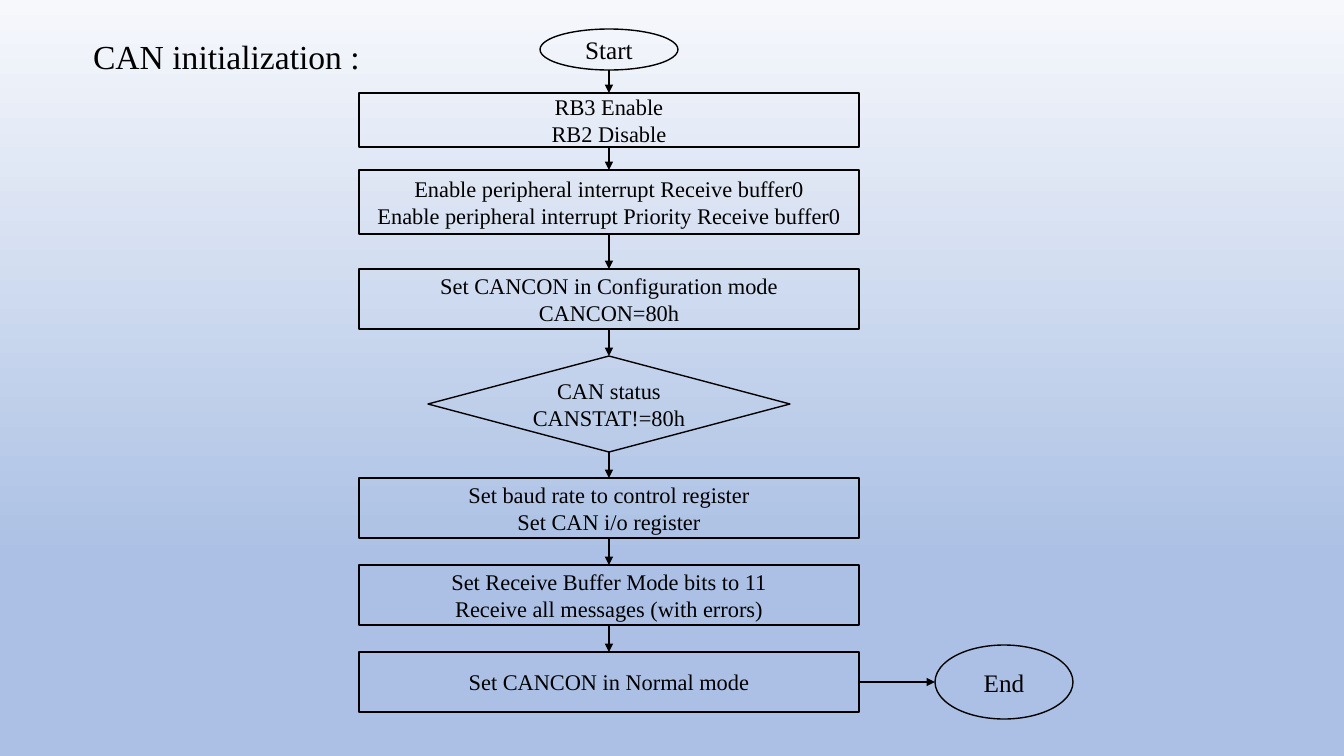
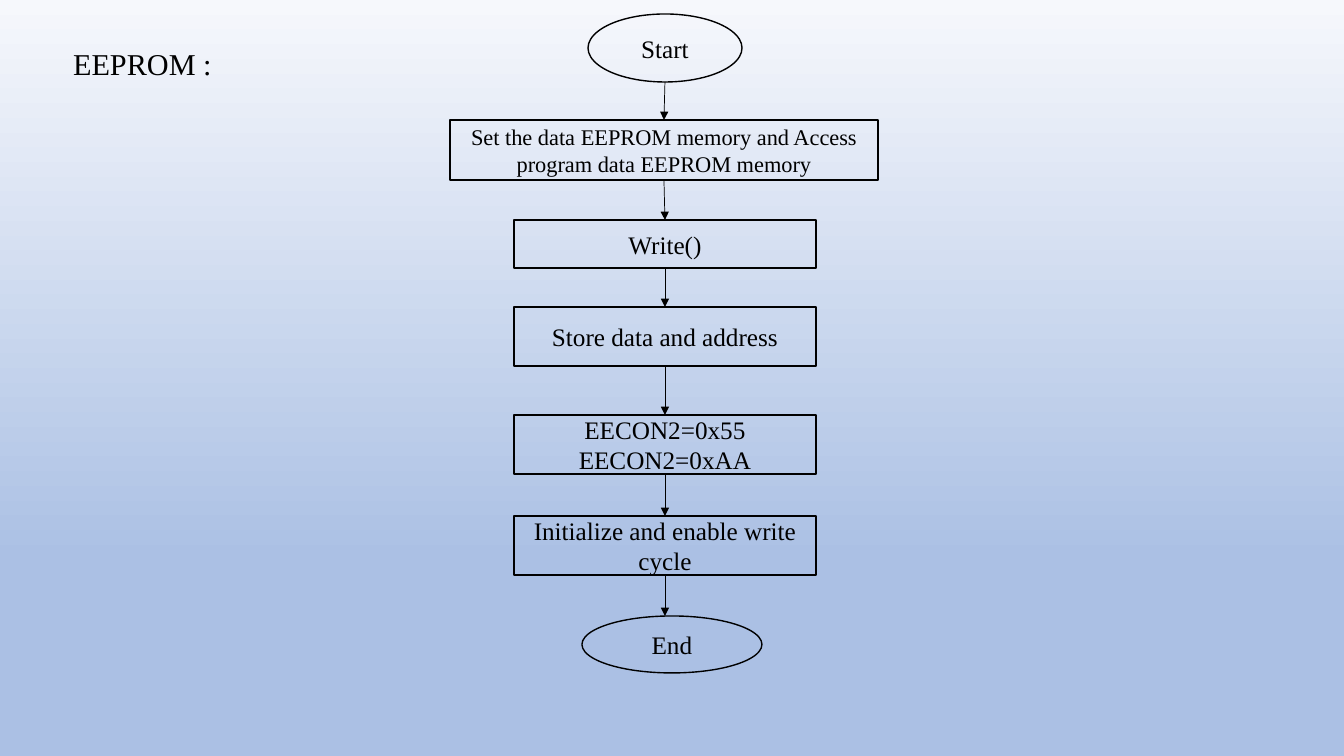
from itertools import pairwise
from typing import NamedTuple

from lxml.etree import SubElement
from pptx import Presentation
from pptx.dml.color import RGBColor
from pptx.enum.shapes import MSO_CONNECTOR as Connector, MSO_SHAPE as Preset
from pptx.enum.text import MSO_ANCHOR as Anchor, MSO_AUTO_SIZE as AutoSize, PP_ALIGN as Align
from pptx.oxml.ns import qn
from pptx.util import Pt

EMU_PER_PX = 914400 / 100.8
SLIDE_WIDTH, SLIDE_HEIGHT = 1344, 756
ALIGN_TOLERANCE = 2

BLACK = RGBColor(0x00, 0x00, 0x00)
SKY_PALE = RGBColor(0xF6, 0xF8, 0xFC)
SKY_BLUE = RGBColor(0xAB, 0xC0, 0xE4)
GRADIENT_STOPS = [(0, SKY_PALE), (74, SKY_BLUE), (100, SKY_BLUE)]

FONT_NAME = "Times New Roman"
FRAME_FORMAT = {"word_wrap": True, "auto_size": AutoSize.NONE, "vertical_anchor": Anchor.MIDDLE}
TITLE_FORMAT = {"alignment": Align.LEFT, "line_spacing": 0.9}
STEP_FORMAT = {"alignment": Align.CENTER}

BOTTOM_SITES = {Preset.OVAL: 4, Preset.RECTANGLE: 2, Preset.DIAMOND: 2}
TOP_SITE, BOX_RIGHT_SITE, OVAL_LEFT_SITE = 0, 3, 2


class Step(NamedTuple):
    preset: Preset
    width: int
    top: int
    height: int
    text: str
    size: int = 16
    shift: int = 0


CAN_STEPS = [
    Step(Preset.OVAL, 138, 29, 41, "Start", 18),
    Step(Preset.RECTANGLE, 500, 93, 54, "RB3 Enable\nRB2 Disable"),
    Step(Preset.RECTANGLE, 500, 170, 64,
         "Enable peripheral interrupt Receive buffer0\n"
         "Enable peripheral interrupt Priority Receive buffer0"),
    Step(Preset.RECTANGLE, 500, 269, 60, "Set CANCON in Configuration mode\nCANCON=80h"),
    Step(Preset.DIAMOND, 362, 356, 96, "CAN status\nCANSTAT!=80h"),
    Step(Preset.RECTANGLE, 500, 478, 60, "Set baud rate to control register\nSet CAN i/o register"),
    Step(Preset.RECTANGLE, 500, 565, 60,
         "Set Receive Buffer Mode bits to 11\nReceive all messages (with errors)"),
    Step(Preset.RECTANGLE, 500, 652, 60, "Set CANCON in Normal mode"),
]
CAN_END = Step(Preset.OVAL, 138, 645, 74, "End", 18, 395)

EEPROM_STEPS = [
    Step(Preset.OVAL, 154, 14, 68, "Start", 18),
    Step(Preset.RECTANGLE, 428, 120, 60,
         "Set the data EEPROM memory and Access program data EEPROM memory", 16, -1),
    Step(Preset.RECTANGLE, 302, 220, 48, "Write()", 18),
    Step(Preset.RECTANGLE, 302, 307, 59, "Store data and address", 18),
    Step(Preset.RECTANGLE, 302, 415, 59, "EECON2=0x55\nEECON2=0xAA", 18),
    Step(Preset.RECTANGLE, 302, 516, 59, "Initialize and enable write cycle", 18),
    Step(Preset.OVAL, 180, 616, 57, "End", 18, 7),
]


def px(length):
    return round(length * EMU_PER_PX)


def apply_format(target, values):
    for name, value in values.items():
        setattr(target, name, value)


def write_text(shape, text, size, paragraph_format):
    frame = shape.text_frame
    frame.text = text
    apply_format(frame, FRAME_FORMAT)
    for paragraph in frame.paragraphs:
        apply_format(paragraph, paragraph_format)
        for run in paragraph.runs:
            apply_format(run.font, {"name": FONT_NAME, "size": Pt(size)})
            run.font.color.rgb = BLACK


def set_background(master):
    fill = master.background.fill
    fill.gradient()
    fill.gradient_angle = 270
    stop_list = next(master.element.iter(qn("a:gsLst")))
    for stop in list(stop_list):
        stop_list.remove(stop)
    for percent, color in GRADIENT_STOPS:
        stop = SubElement(stop_list, qn("a:gs"), pos=str(percent * 1000))
        SubElement(stop, qn("a:srgbClr"), val=str(color))


def add_titled_slide(presentation, title, box, size):
    slide = presentation.slides.add_slide(presentation.slide_layouts[5])
    shape = slide.shapes.title
    apply_format(shape, dict(zip(("left", "top", "width", "height"), map(px, box))))
    write_text(shape, title, size, TITLE_FORMAT)
    return slide


def add_step(slide, axis, step):
    left = axis + step.shift - step.width // 2
    shape = slide.shapes.add_shape(
        step.preset, *map(px, (left, step.top, step.width, step.height)))
    shape.shadow.inherit = False
    shape.fill.background()
    shape.line.color.rgb = BLACK
    shape.line.width = Pt(1)
    write_text(shape, step.text, step.size, STEP_FORMAT)
    return shape


def add_arrow(slide, start, end, width, glue):
    connector = slide.shapes.add_connector(Connector.STRAIGHT, *start, *end)
    connector.line.color.rgb = BLACK
    connector.line.width = Pt(width)
    SubElement(connector.line._get_or_add_ln(), qn("a:tailEnd"), type="triangle")
    SubElement(connector._element.spPr, qn("a:effectLst"))
    links = next(connector._element.iter(qn("p:cNvCxnSpPr")))
    for tag, (shape, site) in glue.items():
        SubElement(links, qn(tag), id=str(shape.shape_id), idx=str(site))


def add_down_arrow(slide, source, target, width):
    start_x = source.left + source.width // 2
    end_x = target.left + target.width // 2
    glue = {"a:stCxn": (source, BOTTOM_SITES[source.auto_shape_type])}
    if abs(end_x - start_x) <= px(ALIGN_TOLERANCE):
        glue["a:endCxn"] = (target, TOP_SITE)
    else:
        end_x = start_x
    add_arrow(slide, (start_x, source.top + source.height), (end_x, target.top), width, glue)


def add_flow(slide, axis, steps, arrow_width):
    shapes = [add_step(slide, axis, step) for step in steps]
    for source, target in pairwise(shapes):
        add_down_arrow(slide, source, target, arrow_width)
    return shapes


def build_can_slide(presentation):
    axis = 609
    slide = add_titled_slide(presentation, "CAN initialization :", (83, 26, 332, 66), 24)
    last_box = add_flow(slide, axis, CAN_STEPS, 1)[-1]
    end = add_step(slide, axis, CAN_END)
    middle = last_box.top + last_box.height // 2
    glue = {"a:stCxn": (last_box, BOX_RIGHT_SITE), "a:endCxn": (end, OVAL_LEFT_SITE)}
    add_arrow(slide, (last_box.left + last_box.width, middle), (end.left, middle), 1, glue)


def build_eeprom_slide(presentation):
    slide = add_titled_slide(presentation, "EEPROM :", (63, 36, 170, 60), 21.6)
    add_flow(slide, 665, EEPROM_STEPS, 0.5)


def main():
    presentation = Presentation()
    presentation.slide_width = px(SLIDE_WIDTH)
    presentation.slide_height = px(SLIDE_HEIGHT)
    set_background(presentation.slide_master)
    build_can_slide(presentation)
    build_eeprom_slide(presentation)
    presentation.save("out.pptx")


if __name__ == "__main__":
    main()
